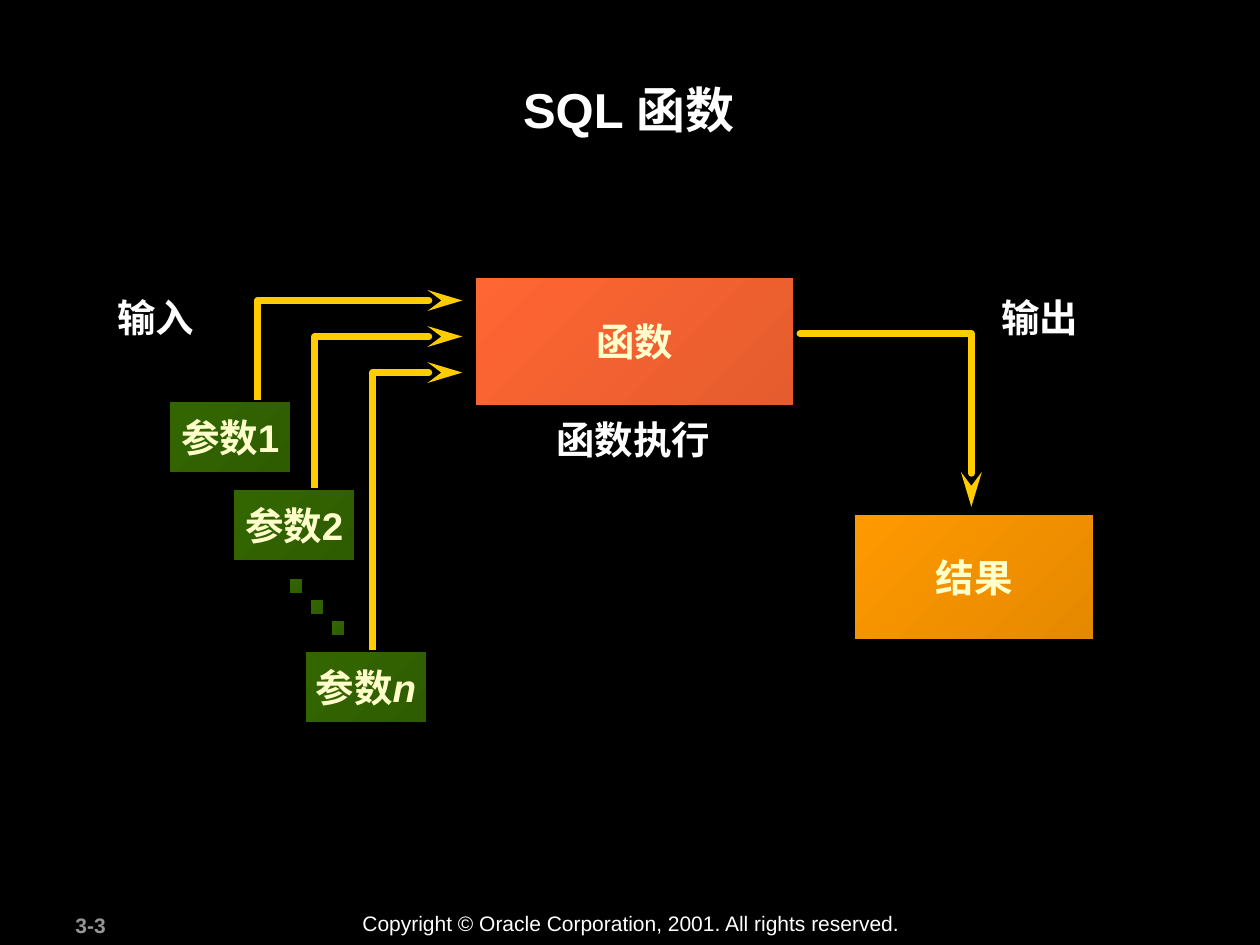
from pptx import Presentation
from pptx.dml.color import RGBColor
from pptx.enum import shapes, text
from pptx.oxml import ns
from pptx.util import Pt
from lxml import etree


def color(code):
    return RGBColor.from_string(code)


class Deck:
    font = "Arial"
    white, cream, black, gold = "FFFFFF", "FFFFCC", "000000", "FFCC00"
    green = ("336600", "2E5C00")
    red = ("FF6633", "E55C2E")
    amber = ("FF9900", "E58900")
    size = 22

    def __init__(self, wide, high):
        self.prs = Presentation()
        self.prs.slide_width, self.prs.slide_height = Pt(wide), Pt(high)
        self.slide = self.prs.slides.add_slide(self.prs.slide_layouts[6])
        fill = self.slide.background.fill
        fill.solid()
        fill.fore_color.rgb = color(self.black)

    def put(self, frame, runs, size, tint, bold, align):
        """Fill a frame with one paragraph of (words, italic) runs."""
        para = frame.paragraphs[0]
        para.alignment = align
        for words, slant in runs:
            run = para.add_run()
            run.text = words
            font = run.font
            font.name, font.size, font.bold = self.font, Pt(size), bold
            font.italic = slant
            font.color.rgb = color(tint)

    def label(self, words, at, size=size, tint=white, bold=True,
              center=False, wrap=True, grow=True):
        box = self.slide.shapes.add_textbox(*map(Pt, at))
        frame = box.text_frame
        frame.word_wrap = wrap
        if grow:
            frame.auto_size = text.MSO_AUTO_SIZE.SHAPE_TO_FIT_TEXT
        align = text.PP_ALIGN.CENTER if center else text.PP_ALIGN.LEFT
        self.put(frame, [(words, False)], size, tint, bold, align)

    def block(self, at, shades, *runs):
        """Add a shaded rectangle, with text if runs are given."""
        box = self.slide.shapes.add_shape(
            shapes.MSO_SHAPE.RECTANGLE, *map(Pt, at))
        box.shadow.inherit = False
        box.fill.gradient()
        box.fill.gradient_angle = 315
        for stop, shade in zip(box.fill.gradient_stops, shades):
            stop.color.rgb = color(shade)
        box.line.color.rgb = color(self.black)
        box.line.width = Pt(1)
        if runs:
            frame = box.text_frame
            frame.word_wrap = False
            frame.vertical_anchor = text.MSO_ANCHOR.MIDDLE
            self.put(frame, runs, self.size, self.cream, True,
                     text.PP_ALIGN.CENTER)

    def arrow(self, start, *rest):
        """Draw a bent line through the points, with an arrowhead last."""
        pen = self.slide.shapes.build_freeform(*map(Pt, start))
        pen.add_line_segments([(Pt(x), Pt(y)) for x, y in rest], close=False)
        bent = pen.convert_to_shape()
        bent.shadow.inherit = False
        bent.fill.background()
        bent.line.color.rgb = color(self.gold)
        bent.line.width = Pt(4)
        edge = bent.element.spPr.find(ns.qn("a:ln"))
        edge.set("cap", "rnd")
        etree.SubElement(edge, ns.qn("a:round"))
        etree.SubElement(edge, ns.qn("a:tailEnd"),
                         type="stealth", w="med", len="lg")


def main():
    deck = Deck(720, 540)
    deck.label("3-3", (36, 517.7, 75.6, 21.6), 12, "969696")
    deck.label("Copyright © Oracle Corporation, 2001. All rights reserved.",
               (200, 517, 322.6, 21.6), 12, bold=False)
    deck.label("SQL 函数", (67.7, 41.8, 583.2, 69), 28,
               center=True, grow=False)

    deck.block((271.5, 158.4, 182.2, 73.4), deck.red, ("函数", False))
    deck.label("函数执行", (259.2, 234, 205.2, 33.8), center=True)

    deck.label("输入", (59.8, 164.2, 58.3, 33.8), wrap=False)
    inputs = [
        (96.7, 229.2, [("参数1", False)]),
        (133.2, 279.5, [("参数2", False)]),
        (174.3, 372.2, [("参数", False), ("n", True)]),
    ]
    for i, (left, top, runs) in enumerate(inputs):
        x, y = 147 + 33 * i, 171.7 + 20.6 * i
        deck.arrow((x, top + 5), (x, y), (264.2, y))
    for left, top, runs in inputs:
        deck.block((left, top, 69.8, 41.2), deck.green, *runs)
    for i in range(3):
        deck.block((165.4 + 12 * i, 330.4 + 12 * i, 7.9, 9.1), deck.green)

    deck.arrow((457.2, 190.6), (555.1, 190.6), (555.1, 289.6))
    deck.label("输出", (565.2, 164.2, 58.3, 33.8), wrap=False)
    deck.block((488.2, 293.8, 136.8, 72), deck.amber, ("结果", False))
    deck.prs.save("out.pptx")


if __name__ == "__main__":
    main()
